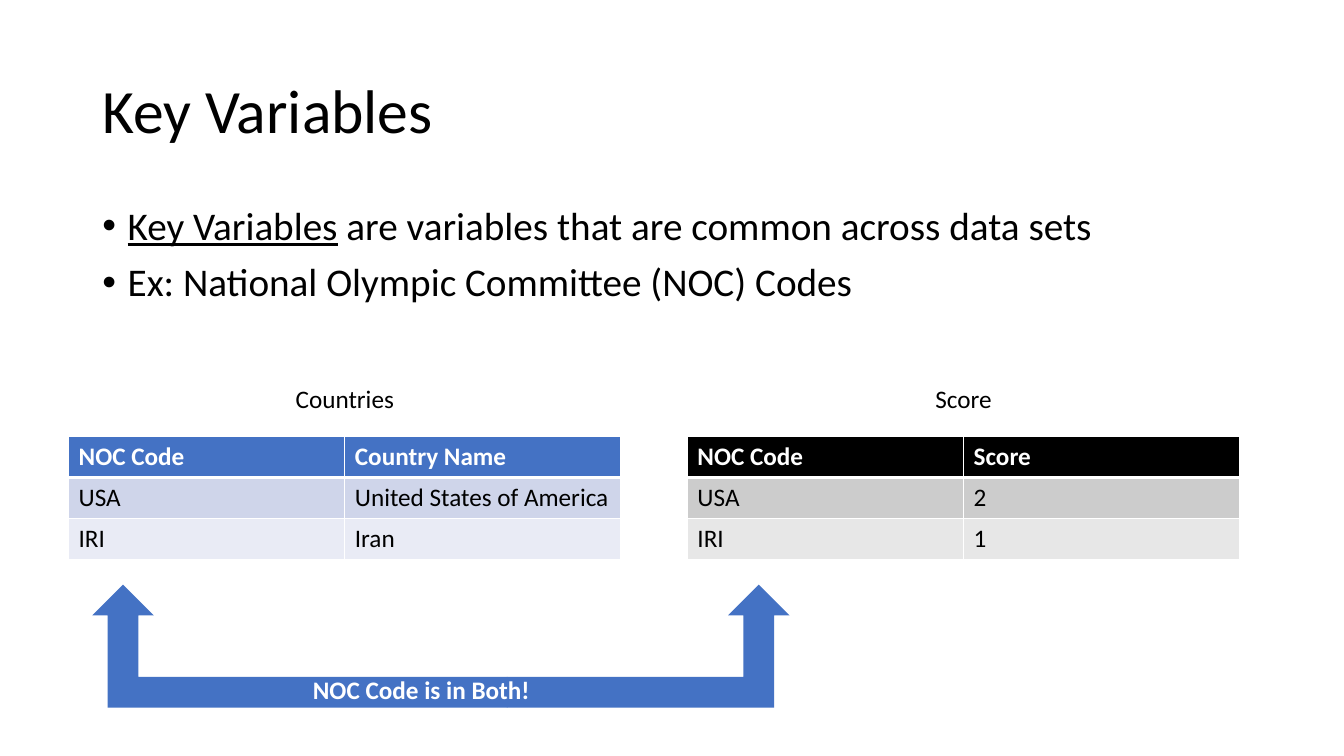
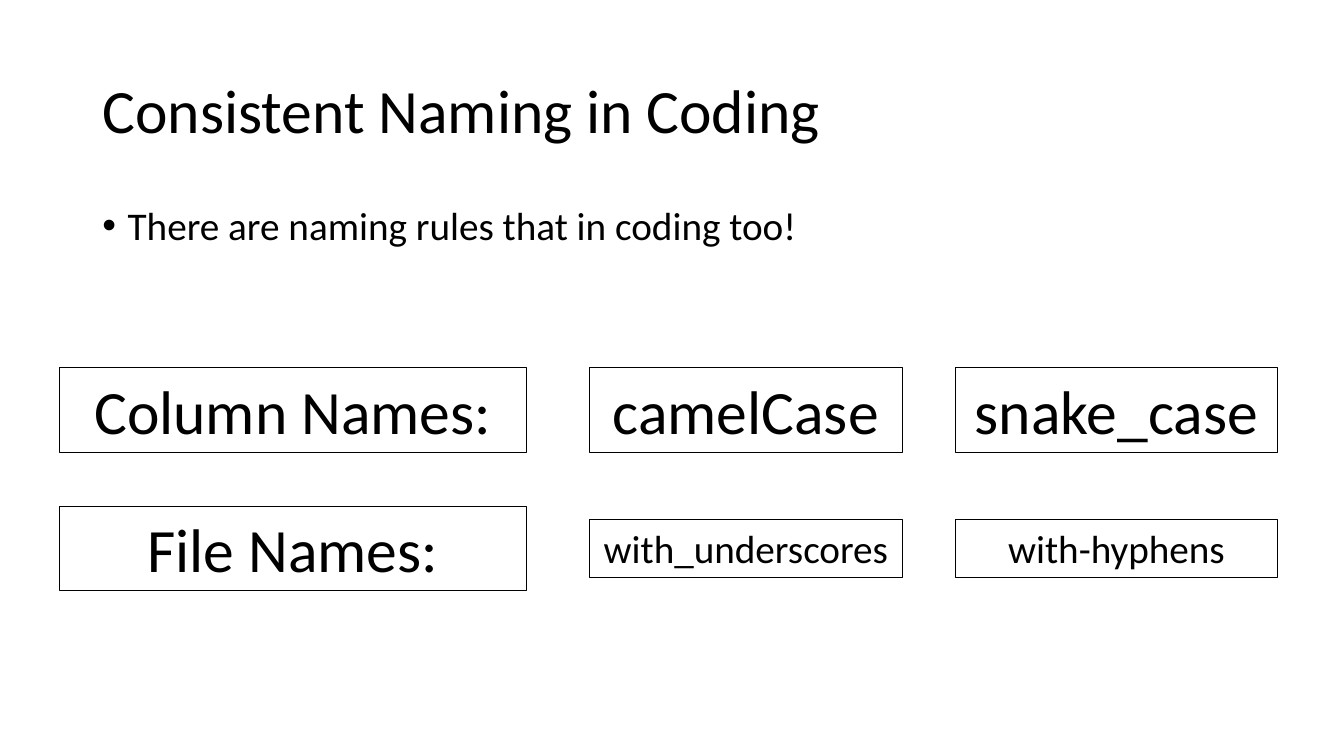
from lxml import etree
from pptx import Presentation
from pptx.dml.color import RGBColor
from pptx.enum import shapes, text
from pptx.oxml import ns
from pptx.util import Pt

BLACK = RGBColor(0x00, 0x00, 0x00)
WHITE = RGBColor(0xFF, 0xFF, 0xFF)
BLUE = RGBColor(0x44, 0x72, 0xC4)
# Table fills: header, then one per body row
BLUE_FILLS = [BLUE, RGBColor(0xCF, 0xD5, 0xEA), RGBColor(0xE9, 0xEB, 0xF5)]
GREY_FILLS = [BLACK, RGBColor(0xCC, 0xCC, 0xCC), RGBColor(0xE7, 0xE7, 0xE7)]

FONT = "Calibri"
LEFT, WIDTH = 66, 828
TABLE_WIDTH, ROW_HEIGHT = 394.6, 29.2


def place(shape, left, top, width, height):
    shape.left, shape.top = Pt(left), Pt(top)
    shape.width, shape.height = Pt(width), Pt(height)


def style(paragraph, size, color=BLACK, bold=False, align=text.PP_ALIGN.LEFT):
    font = paragraph.font
    font.name, font.size, font.bold = FONT, Pt(size), bold
    font.color.rgb = color
    paragraph.alignment = align


# Title and bullets shared by both slides
def add_content_slide(presentation, title, bullets):
    """Each bullet is a pair: underlined lead and the rest of the line."""
    slide = presentation.slides.add_slide(presentation.slide_layouts[1])
    heading, body = slide.placeholders
    place(heading, LEFT, 28.8, WIDTH, 104.4)
    heading.text_frame.text = title
    heading.text_frame.vertical_anchor = text.MSO_ANCHOR.MIDDLE
    style(heading.text_frame.paragraphs[0], 44)
    heading.text_frame.paragraphs[0].line_spacing = 0.9

    place(body, LEFT, 144, WIDTH, 89)
    frame = body.text_frame
    frame.auto_size = text.MSO_AUTO_SIZE.NONE
    for index, (lead, rest) in enumerate(bullets):
        paragraph = frame.add_paragraph() if index else frame.paragraphs[0]
        if lead:
            run = paragraph.add_run()
            run.text = lead
            run.font.underline = True
        paragraph.add_run().text = rest
        style(paragraph, 28)
        paragraph.line_spacing = 0.9
        paragraph.space_before = Pt(10)
        properties = paragraph._p.get_or_add_pPr()
        properties.set("marL", str(Pt(18)))
        properties.set("indent", str(-Pt(18)))
    return slide


def add_label(slide, wording, left, top, width, height, size=18,
              color=BLACK, bold=False, outlined=False):
    label = slide.shapes.add_textbox(Pt(left), Pt(top), Pt(width), Pt(height))
    label.text_frame.word_wrap = True
    label.text_frame.text = wording
    style(label.text_frame.paragraphs[0], size, color, bold,
          text.PP_ALIGN.CENTER)
    if outlined:
        label.line.color.rgb = BLACK
        label.line.width = Pt(0.75)


def add_cell_borders(cell, is_header):
    properties = cell._tc.get_or_add_tcPr()
    for side in "LRTB":
        width = Pt(3 if is_header and side == "B" else 1)
        line = etree.SubElement(properties, ns.qn("a:ln" + side), w=str(width))
        fill = etree.SubElement(line, ns.qn("a:solidFill"))
        etree.SubElement(fill, ns.qn("a:srgbClr"), val=str(WHITE))


def add_data_table(slide, caption, left, rows, fills):
    add_label(slide, caption, left, 270, TABLE_WIDTH, 29)
    table = slide.shapes.add_table(
        len(rows), len(rows[0]), Pt(left), Pt(311.8),
        Pt(TABLE_WIDTH), Pt(ROW_HEIGHT * len(rows))).table
    for row_index, (row, color) in enumerate(zip(rows, fills)):
        is_header = row_index == 0
        for column_index, wording in enumerate(row):
            cell = table.cell(row_index, column_index)
            add_cell_borders(cell, is_header)
            cell.fill.solid()
            cell.fill.fore_color.rgb = color
            cell.text = wording
            style(cell.text_frame.paragraphs[0], 18,
                  WHITE if is_header else BLACK, is_header)


def add_bent_arrow(slide, left, width, flipped=False):
    arrow = slide.shapes.add_shape(
        shapes.MSO_SHAPE.BENT_UP_ARROW, Pt(left), Pt(417.6), Pt(width), Pt(87.8))
    arrow.shadow.inherit = False
    arrow.fill.solid()
    arrow.fill.fore_color.rgb = BLUE
    arrow.line.fill.background()
    if flipped:
        arrow._element.spPr.xfrm.set("flipH", "1")


def build_key_variables(presentation):
    slide = add_content_slide(presentation, "Key Variables", [
        ("Key Variables", " are variables that are common across data sets"),
        ("", "Ex: National Olympic Committee (NOC) Codes"),
    ])
    add_data_table(slide, "Countries", 49, [
        ("NOC Code", "Country Name"),
        ("USA", "United States of America"),
        ("IRI", "Iran"),
    ], BLUE_FILLS)
    add_data_table(slide, "Score", 491, [
        ("NOC Code", "Score"), ("USA", "2"), ("IRI", "1"),
    ], GREY_FILLS)
    # Two arrows meet to link the code columns
    add_bent_arrow(slide, 362, 202)
    add_bent_arrow(slide, LEFT, 296.5, flipped=True)
    add_label(slide, "NOC Code is in Both!", 103, 478, 396, 29,
              color=WHITE, bold=True)


def build_naming(presentation):
    slide = add_content_slide(presentation, "Consistent Naming in Coding", [
        ("", "There are naming rules that in coding too!"),
    ])
    columns = [(42.4, 333.6), (421.2, 223.2), (682.6, 229.7)]
    box_heights = {44: 60.6, 28: 41.2}
    # Row centre, then wording and text size of each box
    rows = [
        (293, [("Column Names:", 44), ("camelCase", 44), ("snake_case", 44)]),
        (391.8, [("File Names:", 44), ("with_underscores", 28),
                 ("with-hyphens", 28)]),
    ]
    for centre, boxes in rows:
        for (left, width), (wording, size) in zip(columns, boxes):
            height = box_heights[size]
            add_label(slide, wording, left, centre - height / 2, width, height,
                      size, outlined=True)


def main():
    presentation = Presentation()
    presentation.slide_width, presentation.slide_height = Pt(960), Pt(540)
    build_key_variables(presentation)
    build_naming(presentation)
    presentation.save("out.pptx")


if __name__ == "__main__":
    main()
